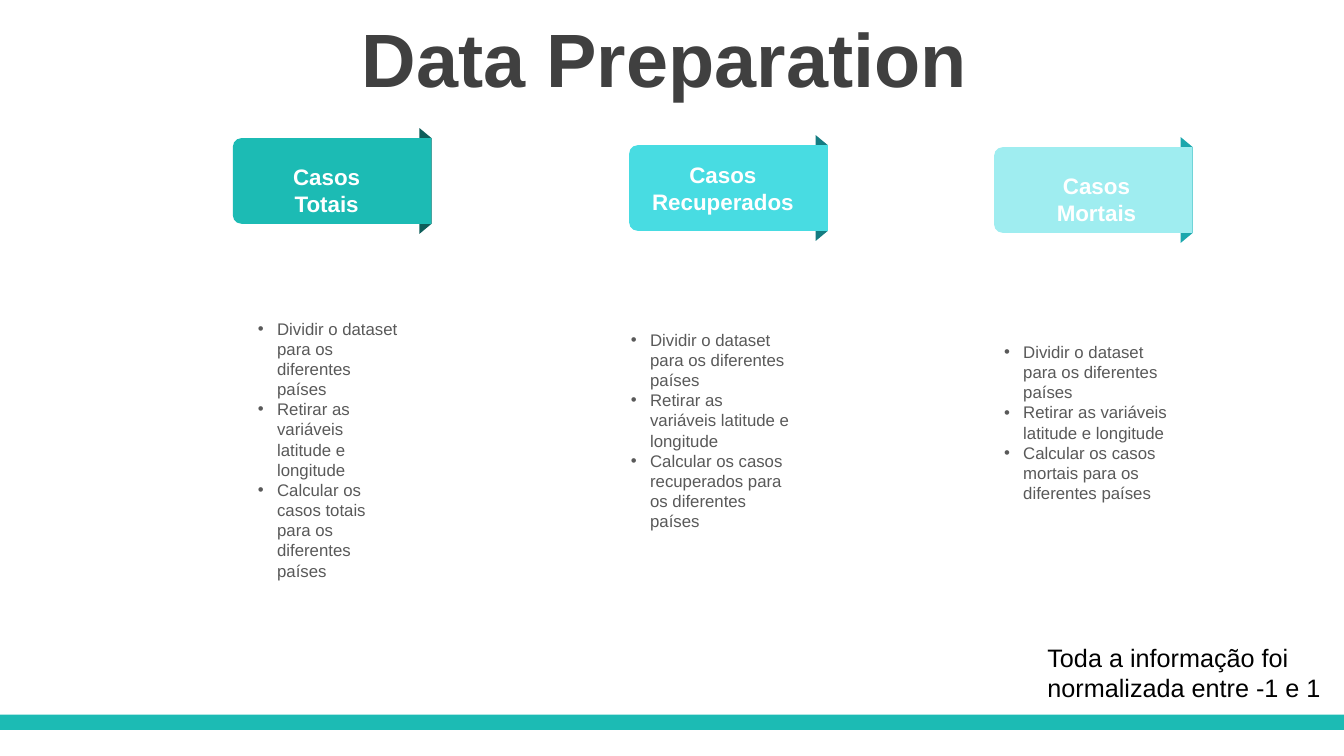
from pptx import Presentation
from pptx.dml.color import RGBColor
from pptx.enum.shapes import MSO_SHAPE
from pptx.enum.text import MSO_ANCHOR, PP_ALIGN
from pptx.oxml.ns import qn
from pptx.util import Inches, Pt
from lxml import etree

TEAL = RGBColor(0x1C, 0xBB, 0xB4)
DARK_TEAL = RGBColor(0x0E, 0x5E, 0x5A)
CYAN = RGBColor(0x48, 0xDC, 0xE2)
DARK_CYAN = RGBColor(0x14, 0x7C, 0x81)
PALE_CYAN = RGBColor(0x9F, 0xED, 0xF0)
MID_CYAN = RGBColor(0x1B, 0xA7, 0xAD)
WHITE = RGBColor(0xFF, 0xFF, 0xFF)
BLACK = RGBColor(0, 0, 0)
TITLE_GRAY = RGBColor(0x40, 0x40, 0x40)
TEXT_GRAY = RGBColor(0x59, 0x59, 0x59)

BANNER_WIDTH, BANNER_HEIGHT = 1.97, 0.85
FOLD_WIDTH, FOLD_OVERHANG = 0.12, 0.1


def add_text(paragraph, text, size, color, bold=False):
    run = paragraph.add_run()
    run.text = text
    run.font.name = "Arial"
    run.font.size = Pt(size)
    run.font.bold = bold
    run.font.color.rgb = color


def paint(shape, color):
    shape.shadow.inherit = False
    shape.fill.solid()
    shape.fill.fore_color.rgb = color
    shape.line.fill.background()


presentation = Presentation()
presentation.slide_width = Inches(13.33)
presentation.slide_height = Inches(7.5)
slide = presentation.slides.add_slide(presentation.slide_layouts[5])
shapes = slide.shapes

title = shapes.title
title.left, title.top = Inches(0.26), Inches(0.23)
title.width, title.height = Inches(12.66), Inches(0.79)
title.text_frame.vertical_anchor = MSO_ANCHOR.MIDDLE
paragraph = title.text_frame.paragraphs[0]
paragraph.alignment = PP_ALIGN.CENTER
paragraph.line_spacing = 0.9
add_text(paragraph, "Data Preparation", 54, TITLE_GRAY, bold=True)

footer_bar = shapes.add_shape(
    MSO_SHAPE.RECTANGLE, 0, Inches(7.09), presentation.slide_width, Inches(0.15))
paint(footer_bar, TEAL)

# Heading, case type, colours, banner left/top, label box, steps box
columns = [
    ("Casos Totais", "totais", TEAL, DARK_TEAL, (2.31, 1.37),
     (2.64, 1.57, 1.2, 0.64), (2.46, 3.11, 1.62, 3.13)),
    ("Casos Recuperados", "recuperados", CYAN, DARK_CYAN, (6.24, 1.44),
     (6.31, 1.55, 1.72, 0.64), (6.16, 3.22, 1.8, 2.52)),
    ("Casos Mortais", "mortais", PALE_CYAN, MID_CYAN, (9.86, 1.46),
     (10.08, 1.66, 1.59, 0.64), (9.86, 3.34, 1.85, 1.72)),
]
for heading, case_type, color, fold_color, (left, top), label_box, steps_box in columns:
    right, bottom = left + BANNER_WIDTH, top + BANNER_HEIGHT
    fold_left = right - FOLD_WIDTH
    builder = shapes.build_freeform(Inches(fold_left), Inches(top - FOLD_OVERHANG))
    builder.add_line_segments([
        (Inches(right), Inches(top)),
        (Inches(right), Inches(bottom)),
        (Inches(fold_left), Inches(bottom + FOLD_OVERHANG)),
    ], close=True)
    paint(builder.convert_to_shape(), fold_color)

    # Turned a quarter left so that the rounded corners face left
    turn_shift = (BANNER_WIDTH - BANNER_HEIGHT) / 2
    banner = shapes.add_shape(
        MSO_SHAPE.ROUND_2_SAME_RECTANGLE,
        Inches(left + turn_shift), Inches(top - turn_shift),
        Inches(BANNER_HEIGHT), Inches(BANNER_WIDTH))
    banner.rotation = 270
    banner.adjustments[0] = 0.1
    banner.adjustments[1] = 0
    paint(banner, color)

    label = shapes.add_textbox(*map(Inches, label_box)).text_frame
    label.word_wrap = True
    label.margin_left = label.margin_right = Inches(0.12)
    label.paragraphs[0].alignment = PP_ALIGN.CENTER
    add_text(label.paragraphs[0], heading, 16, WHITE, bold=True)

    steps = [
        "Dividir o dataset para os diferentes países",
        "Retirar as variáveis latitude e longitude",
        f"Calcular os casos {case_type} para os diferentes países",
    ]
    steps_frame = shapes.add_textbox(*map(Inches, steps_box)).text_frame
    steps_frame.word_wrap = True
    for index, step in enumerate(steps):
        paragraph = steps_frame.add_paragraph() if index else steps_frame.paragraphs[0]
        properties = paragraph._p.get_or_add_pPr()
        properties.set("marL", str(Inches(0.19)))
        properties.set("indent", str(-Inches(0.19)))
        etree.SubElement(properties, qn("a:buFont")).set("typeface", "Arial")
        etree.SubElement(properties, qn("a:buChar")).set("char", "•")
        add_text(paragraph, step, 12, TEXT_GRAY)

note = shapes.add_textbox(Inches(10.29), Inches(6.32), Inches(2.97), Inches(0.71)).text_frame
note.word_wrap = True
add_text(note.paragraphs[0], "Toda a informação foi normalizada entre -1 e 1", 18, BLACK)

presentation.save("out.pptx")
